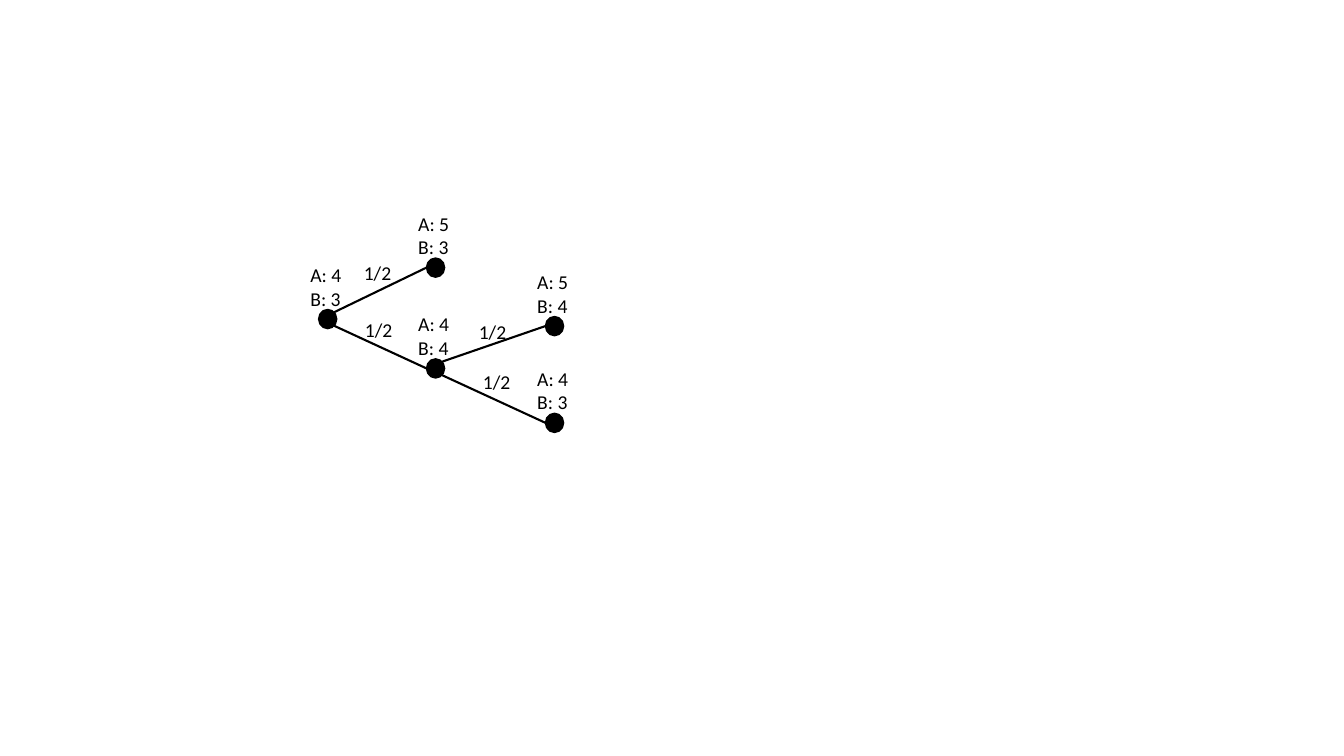
import pptx
import pptx.util
import pptx.dml.color
import pptx.enum.shapes
import pptx.enum.text
import pptx.oxml
from dataclasses import dataclass

Inches = pptx.util.Inches
Pt = pptx.util.Pt


@dataclass
class Theme:
    ink = pptx.dml.color.RGBColor(0, 0, 0)
    font = "Calibri"
    text_size = Pt(14)
    outline = Pt(1)
    branch = Pt(1.5)


theme = Theme()
deck = pptx.Presentation()
deck.slide_width = Inches(13.33)
deck.slide_height = Inches(7.5)
page = deck.slides.add_slide(deck.slide_layouts[6])


def add_label(left, top, width, height, lines, wrap):
    box = page.shapes.add_textbox(Inches(left), Inches(top), Inches(width), Inches(height))
    frame = box.text_frame
    frame.word_wrap = wrap
    frame.auto_size = pptx.enum.text.MSO_AUTO_SIZE.SHAPE_TO_FIT_TEXT
    for index, line in enumerate(lines):
        para = frame.add_paragraph() if index else frame.paragraphs[0]
        span = para.add_run()
        span.text = line
        span.font.name = theme.font
        span.font.size = theme.text_size
        span.font.color.rgb = theme.ink


node_width, node_height = 0.18, 0.19
nodes = {
    "start": (3.16, 3.07, 4, 3),
    "start up": (4.23, 2.56, 5, 3),
    "start down": (4.23, 3.56, 4, 4),
    "middle up": (5.41, 3.14, 5, 4),
    "middle down": (5.41, 4.1, 4, 3),
}
exit_x, exit_up, exit_down = 0.15, 0.03, 0.16
branches = [
    ("start", "start up", exit_up, 3.51, 2.54),
    ("start", "start down", exit_down, 3.52, 3.11),
    ("start down", "middle up", exit_up, 4.65, 3.12),
    ("start down", "middle down", exit_down, 4.69, 3.62),
]

for left, top, a_value, b_value in nodes.values():
    node = page.shapes.add_shape(
        pptx.enum.shapes.MSO_SHAPE.OVAL,
        Inches(left), Inches(top), Inches(node_width), Inches(node_height))
    node.shadow.inherit = False
    node.fill.solid()
    node.fill.fore_color.rgb = theme.ink
    node.line.color.rgb = theme.ink
    node.line.width = theme.outline
    add_label(left - 0.18, top - 0.51, 0.53, 0.57, [f"A: {a_value}", f"B: {b_value}"], False)

for parent, child, exit_y, label_left, label_top in branches:
    parent_left, parent_top = nodes[parent][:2]
    child_left, child_top = nodes[child][:2]
    branch = page.shapes.add_connector(
        pptx.enum.shapes.MSO_CONNECTOR.STRAIGHT,
        Inches(parent_left + exit_x), Inches(parent_top + exit_y),
        Inches(child_left), Inches(child_top + node_height / 2))
    branch.line.color.rgb = theme.ink
    branch.line.width = theme.branch
    properties = branch._element.spPr
    properties.append(pptx.oxml.parse_xml(
        '<a:effectLst xmlns:a="http://schemas.openxmlformats.org/drawingml/2006/main"/>'))
    add_label(label_left, label_top, 0.69, 0.34, ["1/2"], True)

deck.save("out.pptx")
